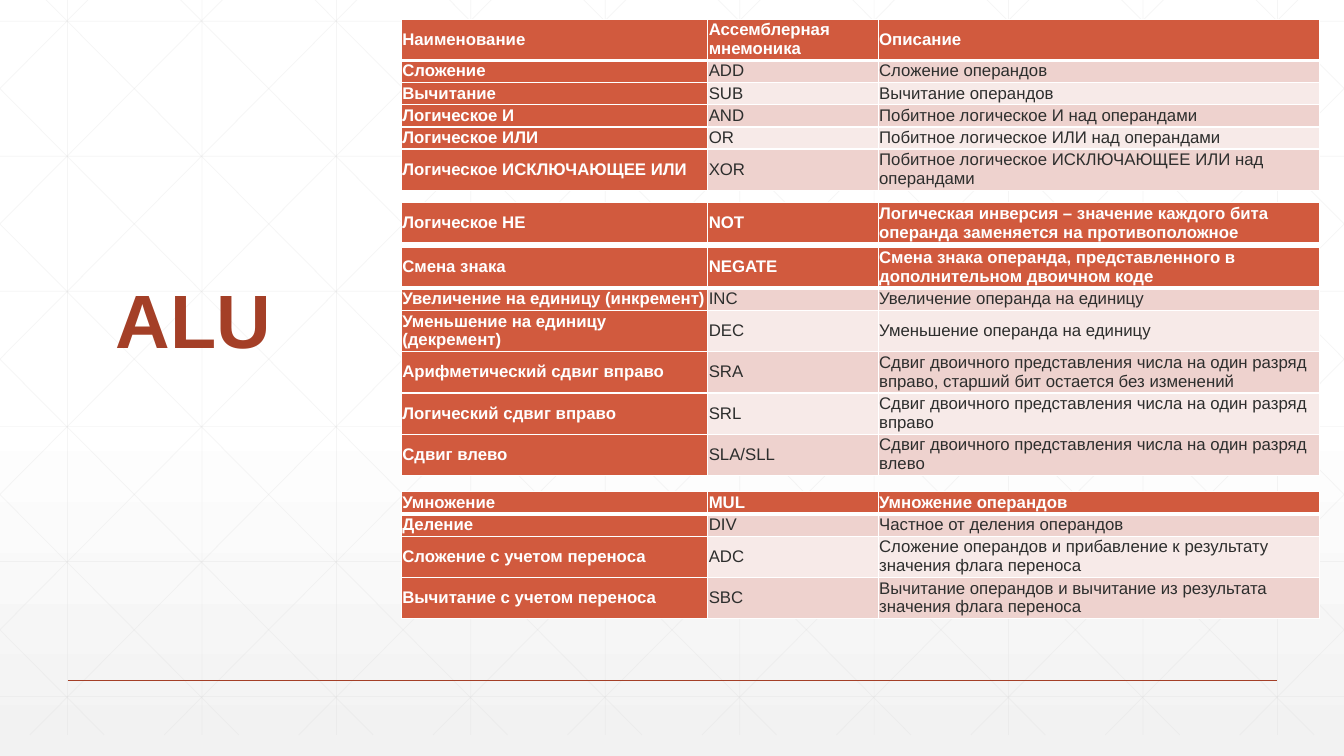
"""Build the ALU slide: operation tables beside a title on a faint line grid."""
from lxml.etree import SubElement
from pptx import Presentation
from pptx.dml.color import RGBColor
from pptx.enum.shapes import MSO_CONNECTOR
from pptx.enum.text import MSO_ANCHOR, MSO_AUTO_SIZE, PP_ALIGN
from pptx.oxml.ns import qn
from pptx.util import Inches, Pt

TITLE = "ALU"
# Each table: its top, then rows of (text lines, name, mnemonic, description).
TABLES = [
    (0.19, [
        (2, "Наименование", "Ассемблерная мнемоника", "Описание"),
        (1, "Сложение", "ADD", "Сложение операндов"),
        (1, "Вычитание", "SUB", "Вычитание операндов"),
        (1, "Логическое И", "AND", "Побитное логическое И над операндами"),
        (1, "Логическое ИЛИ", "OR", "Побитное логическое ИЛИ над операндами"),
        (2, "Логическое ИСКЛЮЧАЮЩЕЕ ИЛИ", "XOR",
         "Побитное логическое ИСКЛЮЧАЮЩЕЕ ИЛИ над операндами"),
    ]),
    (2.01, [
        (2, "Логическое НЕ", "NOT",
         "Логическая инверсия – значение каждого бита операнда заменяется на противоположное"),
    ]),
    (2.45, [
        (2, "Смена знака", "NEGATE",
         "Смена знака операнда, представленного в дополнительном двоичном коде"),
        (1, "Увеличение на единицу (инкремент)", "INC", "Увеличение операнда на единицу"),
        (2, "Уменьшение на единицу (декремент)", "DEC", "Уменьшение операнда на единицу"),
        (2, "Арифметический сдвиг вправо", "SRA",
         "Сдвиг двоичного представления числа на один разряд вправо, "
         "старший бит остается без изменений"),
        (2, "Логический сдвиг вправо", "SRL",
         "Сдвиг двоичного представления числа на один разряд вправо"),
        (2, "Сдвиг влево", "SLA/SLL",
         "Сдвиг двоичного представления числа на один разряд влево"),
    ]),
    (4.88, [
        (1, "Умножение", "MUL", "Умножение операндов"),
        (1, "Деление", "DIV", "Частное от деления операндов"),
        (2, "Сложение с учетом переноса", "ADC",
         "Сложение операндов и прибавление к результату значения флага переноса"),
        (2, "Вычитание с учетом переноса", "SBC",
         "Вычитание операндов и вычитание из результата значения флага переноса"),
    ]),
]
COLUMN_WIDTHS = (3.04, 1.69, 4.38)
ROW_HEIGHTS = {1: 0.22, 2: 0.41}
TABLE_LEFT = 3.98
WIDTH, HEIGHT = 13.33, 7.5
GRID_TOP, GRID_BOTTOM, GRID_STEP = -0.21, 7.29, 4 / 3
DIAGONAL_START, DIAGONAL_RUN = 0.25, 7.45

FONT = "Arial"
ACCENT, DARK_ACCENT, INK, WHITE = "D15A3E", "A43F27", "2D2E2D", "FFFFFF"
BANDS = ("F7EAE8", "EED2CE")
GRID_GREY, FLOOR_GREY = "D9D9D9", "F2F2F2"


def rgb(value):
    return RGBColor.from_string(value)


def add_line(shapes, start, end, color, width, opacity=None):
    line = shapes.add_connector(MSO_CONNECTOR.STRAIGHT, *map(Inches, start + end))
    line.line.color.rgb = rgb(color)
    line.line.width = Pt(width)
    properties = line.element.spPr
    SubElement(properties, qn("a:effectLst"))
    if opacity:
        solid = properties.find(".//" + qn("a:srgbClr"))
        SubElement(solid, qn("a:alpha"), val=str(opacity * 1000))


def grid_lines():
    for i in range(10):
        x = 0.67 + i * GRID_STEP
        yield (x, GRID_TOP), (x, GRID_BOTTOM)
    for i in range(6):
        y = 0.21 + i * 1.34
        yield (0, y), (WIDTH, y)
    slope = (GRID_BOTTOM - GRID_TOP) / DIAGONAL_RUN
    for i in range(-5, 10):
        x = DIAGONAL_START + i * GRID_STEP
        left, right = max(x, 0), min(x + DIAGONAL_RUN, WIDTH)
        upper, lower = (GRID_TOP + (edge - x) * slope for edge in (left, right))
        yield (left, upper), (right, lower)
        yield (WIDTH - left, upper), (WIDTH - right, lower)


def add_borders(cell, bottom):
    properties = cell._tc.get_or_add_tcPr()
    for side, width in (("L", 1), ("R", 1), ("T", 1), ("B", bottom)):
        border = SubElement(properties, qn("a:ln" + side), w=str(Pt(width)))
        SubElement(SubElement(border, qn("a:solidFill")), qn("a:srgbClr"), val=WHITE)


def fill_cell(cell, text, fill, strong, bottom):
    add_borders(cell, bottom)
    cell.fill.solid()
    cell.fill.fore_color.rgb = rgb(fill)
    cell.vertical_anchor = MSO_ANCHOR.MIDDLE
    cell.margin_left = cell.margin_right = cell.margin_top = Inches(0.01)
    cell.margin_bottom = Inches(0.02)
    cell.text = text
    paragraph = cell.text_frame.paragraphs[0]
    paragraph.space_after = Pt(14.2)
    paragraph.font.name, paragraph.font.size = FONT, Pt(12)
    paragraph.font.bold = strong
    paragraph.font.color.rgb = rgb(WHITE if strong else INK)


def add_operations(slide, top, operations):
    height = sum(ROW_HEIGHTS[lines] for lines, *_ in operations)
    table = slide.shapes.add_table(
        len(operations), len(COLUMN_WIDTHS), Inches(TABLE_LEFT), Inches(top),
        Inches(sum(COLUMN_WIDTHS)), Inches(height)).table
    table.horz_banding = False
    for column, width in zip(table.columns, COLUMN_WIDTHS):
        column.width = Inches(width)
    for r, (lines, *texts) in enumerate(operations):
        table.rows[r].height = Inches(ROW_HEIGHTS[lines])
        for c, text in enumerate(texts):
            strong = r == 0 or c == 0
            fill = ACCENT if strong else BANDS[r % 2]
            fill_cell(table.cell(r, c), text, fill, strong, 3 if r == 0 else 1)


def set_background(slide):
    fill = slide.background.fill
    fill.gradient()
    fill.gradient_angle = 270
    for stop, position, color in zip(fill.gradient_stops, (0.53, 1), (WHITE, FLOOR_GREY)):
        stop.position = position
        stop.color.rgb = rgb(color)


def place_title(slide):
    title = slide.shapes.title
    title.left, title.top, title.width, title.height = map(Inches, (0.51, 2.71, 2.82, 0.96))
    title.text = TITLE
    frame = title.text_frame
    frame.auto_size = MSO_AUTO_SIZE.NONE
    frame.vertical_anchor = MSO_ANCHOR.BOTTOM
    paragraph = frame.paragraphs[0]
    paragraph.alignment = PP_ALIGN.CENTER
    paragraph.line_spacing = 0.9
    paragraph.font.name, paragraph.font.size, paragraph.font.bold = FONT, Pt(54), True
    paragraph.font.color.rgb = rgb(DARK_ACCENT)
    title.element.getparent().append(title.element)


def main():
    presentation = Presentation()
    presentation.slide_width, presentation.slide_height = Inches(WIDTH), Inches(HEIGHT)
    slide = presentation.slides.add_slide(presentation.slide_layouts[5])
    set_background(slide)
    grid = slide.shapes.add_group_shape()
    for start, end in grid_lines():
        add_line(grid.shapes, start, end, GRID_GREY, 0.5, opacity=25)
    add_line(slide.shapes, (0.67, 6.75), (12.67, 6.75), DARK_ACCENT, 1)
    place_title(slide)
    for top, operations in TABLES:
        add_operations(slide, top, operations)
    presentation.save("out.pptx")


if __name__ == "__main__":
    main()
